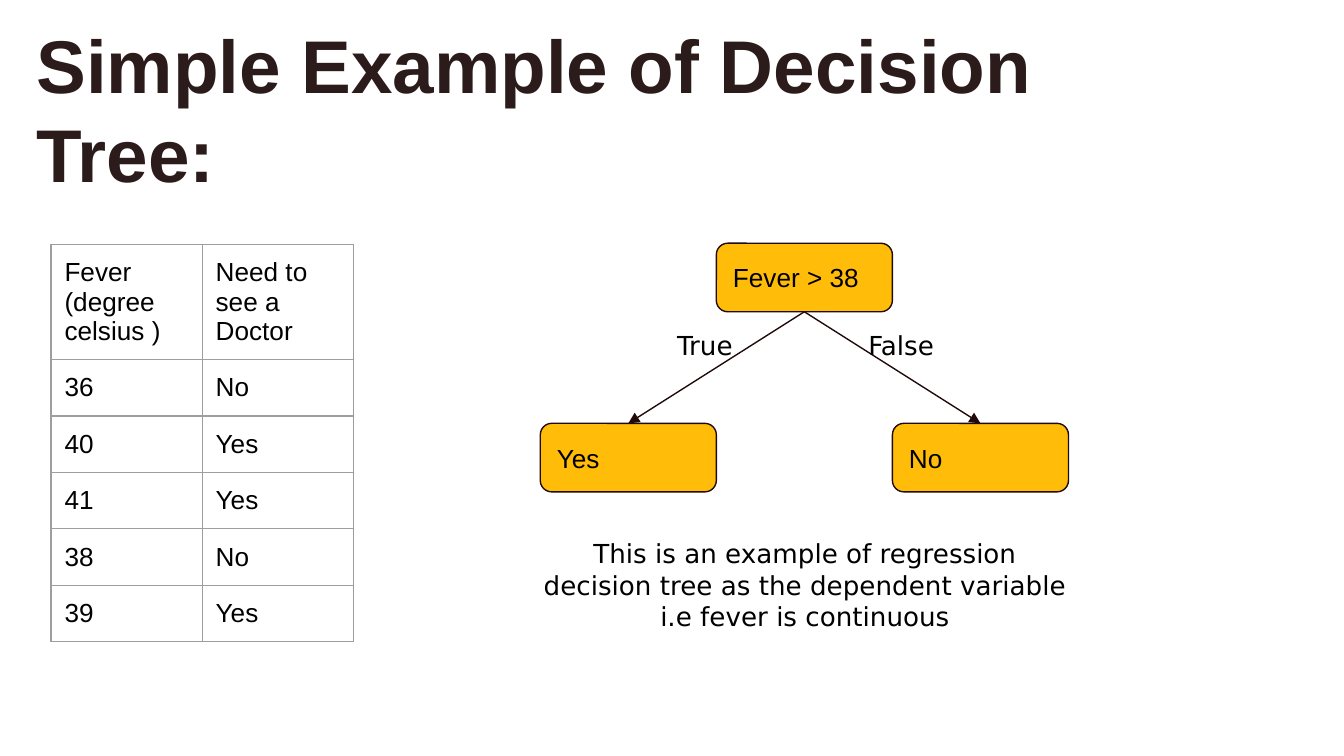
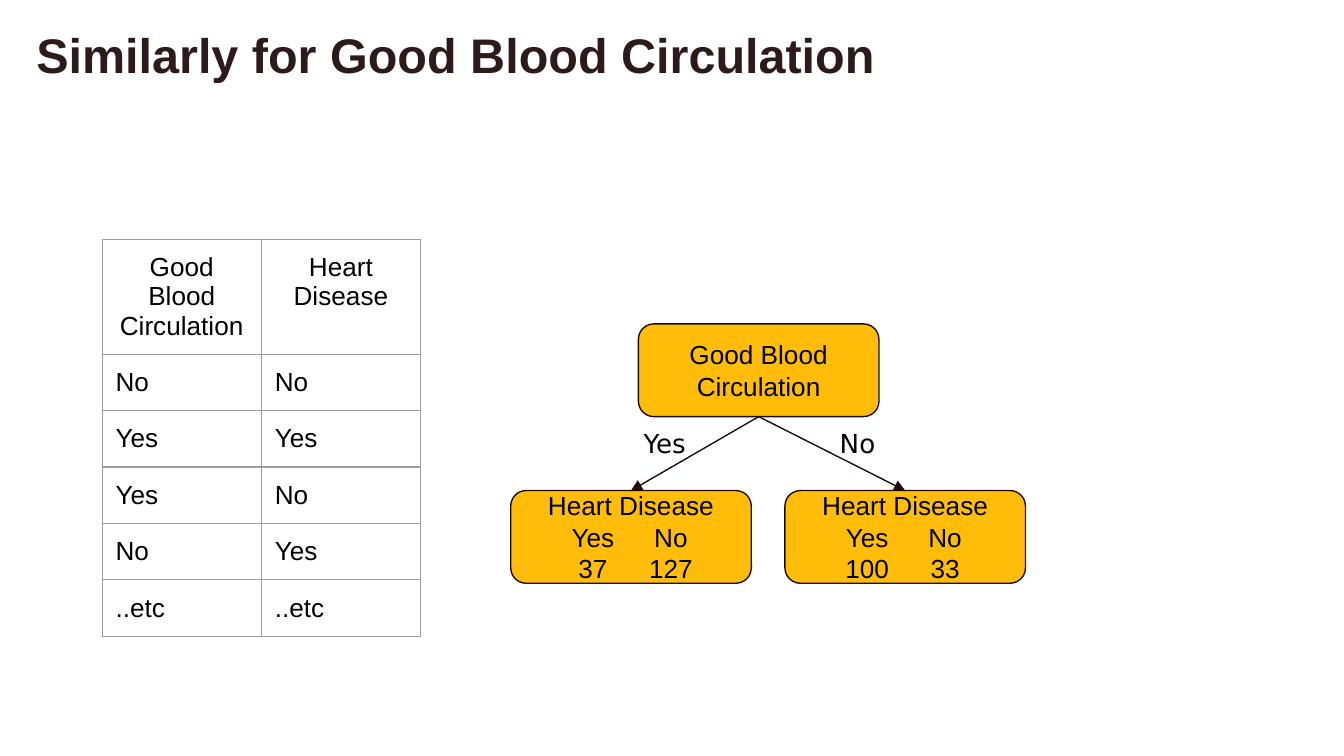
import pptx
import pptx.util
import pptx.dml.color
import pptx.enum.shapes
import pptx.enum.text
import pptx.oxml
import pptx.oxml.ns
from lxml import etree

Inches = pptx.util.Inches
Pt = pptx.util.Pt
LEFT = pptx.enum.text.PP_ALIGN.LEFT
CENTER = pptx.enum.text.PP_ALIGN.CENTER
MIDDLE = pptx.enum.text.MSO_ANCHOR.MIDDLE
TOP = pptx.enum.text.MSO_ANCHOR.TOP
qn = pptx.oxml.ns.qn

COLORS = {
    "title": "2B1B1B",
    "text": "000000",
    "node": "FFBC08",
    "outline": "200A0A",
    "grid": "9E9E9E",
}
TAB_STOPS = (0.48, 1.06)
SIDES = ("left", "right", "top", "bottom")

SLIDES = [
    {
        "title": "Simple Example of Decision Tree:",
        "title_box": (0.17, 0.3, 7.92, 1.01),
        "title_size": 40,
        "table_box": (0.38, 1.82, 2.25, 3.07),
        "header_align": LEFT,
        "rows": [
            ("Fever\n(degree celsius )", "Need to see a Doctor"),
            ("36", "No"),
            ("40", "Yes"),
            ("41", "Yes"),
            ("38", "No"),
            ("39", "Yes"),
        ],
        "node_size": (1.31, 0.51),
        "node_align": LEFT,
        "root": ("Fever > 38", 5.33, 1.81),
        "leaves": [("Yes", 4.02, 3.15), ("No", 6.64, 3.15)],
        "captions": [
            ("This is an example of regression decision tree as the dependent variable "
             "i.e fever is continuous", (3.89, 3.9, 4.2, 1.53), CENTER),
            ("True", (4.86, 2.35, 0.77, 0.51), CENTER),
            ("False", (6.32, 2.35, 0.77, 0.51), CENTER),
        ],
    },
    {
        "title": "Similarly for Good Blood Circulation",
        "title_box": (0.17, 0.06, 7.92, 0.69),
        "title_size": 26,
        "table_box": (0.76, 1.78, 2.37, 3.07),
        "header_align": CENTER,
        "rows": [
            ("Good Blood Circulation", "Heart Disease"),
            ("No", "No"),
            ("Yes", "Yes"),
            ("Yes", "No"),
            ("No", "Yes"),
            ("..etc", "..etc"),
        ],
        "node_size": (1.79, 0.69),
        "node_align": CENTER,
        "root": ("Good Blood Circulation", 4.75, 2.41),
        "leaves": [
            ("Heart Disease\n\tYes\tNo\n\t37\t127", 3.8, 3.65),
            ("Heart Disease\n\tYes\tNo\n\t100\t33", 5.84, 3.65),
        ],
        "captions": [
            ("Yes", (4.69, 3.12, 0.56, 0.16), LEFT),
            ("No", (6.15, 3.12, 0.56, 0.16), LEFT),
        ],
    },
]


def rgb(name):
    return pptx.dml.color.RGBColor.from_string(COLORS[name])


def write(holder, text, align, anchor=TOP, font="Arial", size=14, color="text", bold=False, inset=0.1):
    frame = holder.text_frame
    frame.word_wrap = True
    margins = holder if hasattr(holder, "margin_left") else frame
    for side in SIDES:
        setattr(margins, f"margin_{side}", Inches(0.1 if side in SIDES[:2] else inset))
    margins.vertical_anchor = anchor
    for index, line in enumerate(text.split("\n")):
        paragraph = frame.paragraphs[0] if index == 0 else frame.add_paragraph()
        paragraph.add_run().text = line
        paragraph.alignment = align
        if "\t" in line:
            paragraph.alignment = LEFT
            tabs = etree.SubElement(paragraph._p.get_or_add_pPr(), qn("a:tabLst"))
            for stop in TAB_STOPS:
                etree.SubElement(tabs, qn("a:tab"), pos=str(Inches(stop)), algn="ctr")
        paragraph.font.name = font
        paragraph.font.size = Pt(size)
        paragraph.font.bold = bold
        paragraph.font.color.rgb = rgb(color)


deck = pptx.Presentation()
deck.slide_width = Inches(10)
deck.slide_height = deck.slide_width * 9 // 16

for content in SLIDES:
    slide = deck.slides.add_slide(deck.slide_layouts[5])

    title = slide.shapes.title
    title.left, title.top, title.width, title.height = map(Inches, content["title_box"])
    write(title, content["title"], LEFT, MIDDLE, size=content["title_size"],
          color="title", bold=True, inset=0.05)
    title.text_frame.auto_size = pptx.enum.text.MSO_AUTO_SIZE.NONE

    rows = content["rows"]
    x, y, width, height = map(Inches, content["table_box"])
    observations = slide.shapes.add_table(len(rows), 2, x, y, width, height)
    grid = observations.table
    grid.first_row = False
    grid.horz_banding = False
    for column in grid.columns:
        column.width = width // 2
    for row_index, values in enumerate(rows):
        grid.rows[row_index].height = Inches(0.42)
        for column_index, value in enumerate(values):
            cell = grid.cell(row_index, column_index)
            write(cell, value, content["header_align"] if row_index == 0 else LEFT)
            properties = cell._tc.get_or_add_tcPr()
            for edge in ("lnL", "lnR", "lnT", "lnB"):
                border = etree.SubElement(properties, qn(f"a:{edge}"), w=str(Pt(0.75)))
                fill = etree.SubElement(border, qn("a:solidFill"))
                etree.SubElement(fill, qn("a:srgbClr"), val=COLORS["grid"])
            cell.fill.background()
    observations.height = height

    nodes = []
    for text, left, top in [content["root"], *content["leaves"]]:
        node = slide.shapes.add_shape(
            pptx.enum.shapes.MSO_SHAPE.ROUNDED_RECTANGLE,
            Inches(left), Inches(top), *map(Inches, content["node_size"]))
        node.shadow.inherit = False
        node.fill.solid()
        node.fill.fore_color.rgb = rgb("node")
        node.line.color.rgb = rgb("outline")
        node.line.width = Pt(0.75)
        write(node, text, content["node_align"], MIDDLE)
        nodes.append(node)

    root, *leaves = nodes
    for leaf in leaves:
        branch = slide.shapes.add_connector(pptx.enum.shapes.MSO_CONNECTOR.STRAIGHT, 0, 0, 0, 0)
        branch.begin_connect(root, 2)
        branch.end_connect(leaf, 0)
        branch.line.color.rgb = rgb("outline")
        branch.line.width = Pt(0.75)
        etree.SubElement(branch.line._get_or_add_ln(), qn("a:tailEnd"), type="triangle")
        etree.SubElement(branch._element.spPr, qn("a:effectLst"))

    for text, box, align in content["captions"]:
        caption = slide.shapes.add_textbox(*map(Inches, box))
        write(caption, text, align, font="DejaVu Sans")

deck.save("out.pptx")
